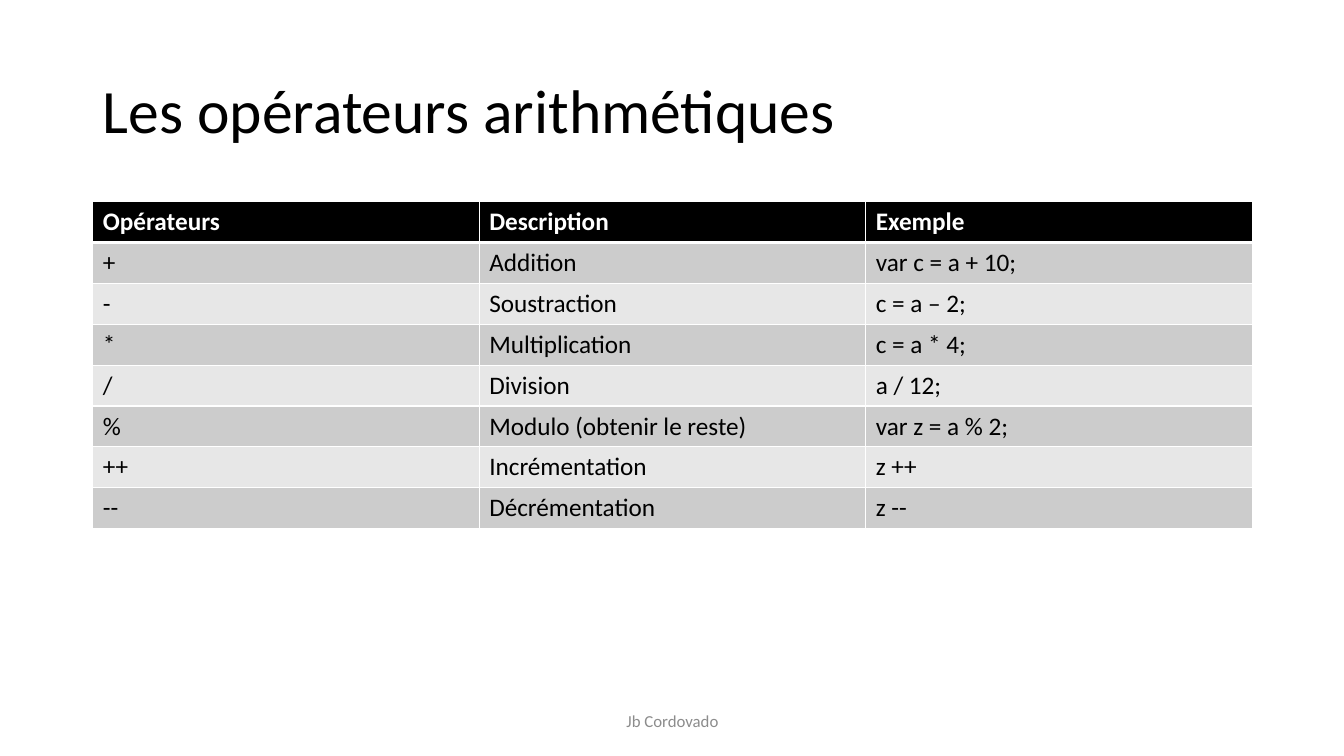
"""Build a slide with a table of the arithmetic operators."""
from dataclasses import dataclass

from lxml.etree import SubElement
from pptx import Presentation
from pptx.dml.color import RGBColor
from pptx.enum.text import MSO_ANCHOR, MSO_AUTO_SIZE, PP_ALIGN
from pptx.oxml.ns import qn
from pptx.util import Inches, Pt

FONT = "Calibri"
BLACK, WHITE, GREY = "000000", "FFFFFF", "8C8C8C"
BANDS = ("CCCCCC", "E7E7E7")
LEFT, WIDTH = 0.92, 11.5
ROW_HEIGHT = 0.405


@dataclass
class Operator:
    symbol: str
    description: str
    example: str


HEADER = Operator("Opérateurs", "Description", "Exemple")
OPERATORS = [
    Operator("+", "Addition", "var c = a + 10;"),
    Operator("-", "Soustraction", "c = a – 2;"),
    Operator("*", "Multiplication", "c = a * 4;"),
    Operator("/", "Division", "a / 12;"),
    Operator("%", "Modulo (obtenir le reste)", "var z = a % 2;"),
    Operator("++", "Incrémentation", "z ++"),
    Operator("--", "Décrémentation", "z --"),
]


def color(value: str) -> RGBColor:
    return RGBColor.from_string(value)


def format_paragraph(paragraph, size: float, text_color: str,
                     alignment=PP_ALIGN.LEFT, bold: bool = False) -> None:
    paragraph.alignment = alignment
    font = paragraph.font
    font.name, font.size, font.bold = FONT, Pt(size), bold
    font.color.rgb = color(text_color)


def add_border(cell, side: str, width: float) -> None:
    properties = cell._tc.get_or_add_tcPr()
    line = SubElement(properties, qn(f"a:ln{side}"), w=str(Pt(width)))
    fill = SubElement(line, qn("a:solidFill"))
    SubElement(fill, qn("a:srgbClr"), val=WHITE)


def add_title(slide) -> None:
    title = slide.shapes.title
    title.left, title.top = Inches(LEFT), Inches(0.4)
    title.width, title.height = Inches(WIDTH), Inches(1.45)
    frame = title.text_frame
    frame.text = "Les opérateurs arithmétiques"
    frame.auto_size = MSO_AUTO_SIZE.NONE
    frame.vertical_anchor = MSO_ANCHOR.MIDDLE
    paragraph = frame.paragraphs[0]
    paragraph.line_spacing = 0.9
    format_paragraph(paragraph, 44, BLACK)


def add_operator_table(slide) -> None:
    rows = [HEADER, *OPERATORS]
    table = slide.shapes.add_table(
        len(rows), 3, Inches(LEFT), Inches(2),
        Inches(WIDTH), Inches(ROW_HEIGHT * len(rows))).table
    for row_index, operator in enumerate(rows):
        is_header = row_index == 0
        fill_color = BLACK if is_header else BANDS[(row_index - 1) % 2]
        texts = (operator.symbol, operator.description, operator.example)
        for column_index, text in enumerate(texts):
            cell = table.cell(row_index, column_index)
            cell.text = text
            format_paragraph(cell.text_frame.paragraphs[0], 18,
                             WHITE if is_header else BLACK, bold=is_header)
            add_border(cell, "L", 1)
            add_border(cell, "R", 1)
            add_border(cell, "T", 3 if row_index == 1 else 1)
            add_border(cell, "B", 3 if is_header else 1)
            cell.fill.solid()
            cell.fill.fore_color.rgb = color(fill_color)


def add_footer(slide) -> None:
    footer = slide.shapes.add_textbox(
        Inches(4.42), Inches(6.95), Inches(4.5), Inches(0.4))
    frame = footer.text_frame
    frame.word_wrap = True
    frame.vertical_anchor = MSO_ANCHOR.MIDDLE
    frame.text = "Jb Cordovado"
    format_paragraph(frame.paragraphs[0], 12, GREY, PP_ALIGN.CENTER)


def main() -> None:
    presentation = Presentation()
    presentation.slide_width = Inches(13.33)
    presentation.slide_height = Inches(7.5)
    slide = presentation.slides.add_slide(presentation.slide_layouts[5])
    add_title(slide)
    add_operator_table(slide)
    add_footer(slide)
    presentation.save("out.pptx")


if __name__ == "__main__":
    main()
